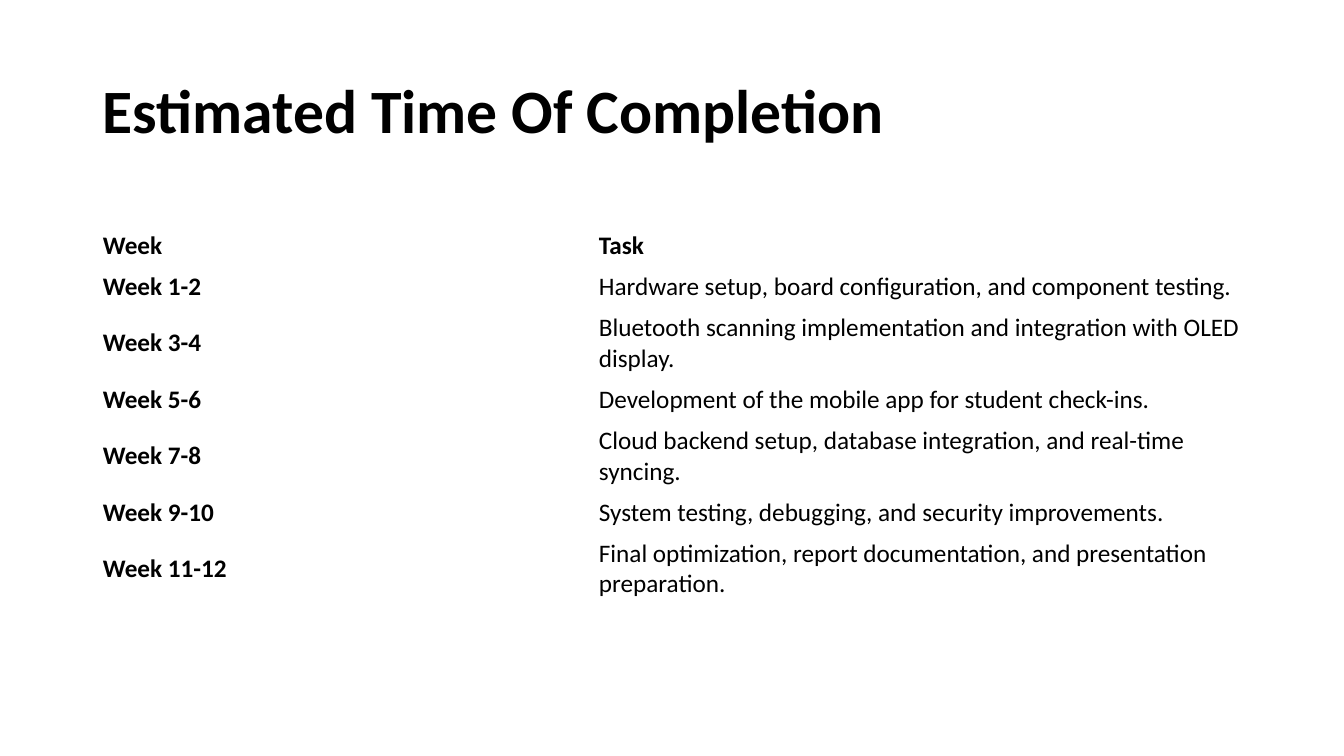
"""Build a slide with a project schedule by week."""
from pptx import Presentation
from pptx import util as u
from pptx.dml.color import RGBColor
from pptx.enum import text

COLORS = {"ink": "000000"}
FONT = "Calibri"
COLUMN_WIDTHS = (4.92, 6.58)
LINE_HEIGHT, CELL_PADDING = 0.3, 0.11
SCHEDULE = [
    ("Week", "Task", 1),
    ("Week 1-2", "Hardware setup, board configuration, and component testing.", 1),
    ("Week 3-4", "Bluetooth scanning implementation and integration with OLED display.", 2),
    ("Week 5-6", "Development of the mobile app for student check-ins.", 1),
    ("Week 7-8", "Cloud backend setup, database integration, and real-time syncing.", 2),
    ("Week 9-10", "System testing, debugging, and security improvements.", 1),
    ("Week 11-12", "Final optimization, report documentation, and presentation preparation.", 2),
]


def add_run(paragraph, wording, size, bold):
    run = paragraph.add_run()
    run.text = wording
    run.font.name = FONT
    run.font.size = u.Pt(size)
    run.font.bold = bold
    run.font.color.rgb = RGBColor.from_string(COLORS["ink"])


prs = Presentation()
prs.slide_width, prs.slide_height = u.Inches(13.33), u.Inches(7.5)
slide = prs.slides.add_slide(prs.slide_layouts[6])

title = slide.shapes.add_textbox(
    u.Inches(0.92), u.Inches(0.4), u.Inches(11.5), u.Inches(1.45)
).text_frame
title.word_wrap = True
title.vertical_anchor = text.MSO_ANCHOR.MIDDLE
title.paragraphs[0].line_spacing = 0.9
add_run(title.paragraphs[0], "Estimated Time Of Completion", 44, True)

schedule = slide.shapes.add_table(
    len(SCHEDULE), len(COLUMN_WIDTHS),
    u.Inches(0.92), u.Inches(2.23), u.Inches(11.5), u.Inches(3.7),
).table
schedule.first_row = False
schedule.horz_banding = False
for column, width in zip(schedule.columns, COLUMN_WIDTHS):
    column.width = u.Inches(width)

for row_index, (week, task, line_count) in enumerate(SCHEDULE):
    schedule.rows[row_index].height = u.Inches(line_count * LINE_HEIGHT + CELL_PADDING)
    for column_index, wording in enumerate((week, task)):
        cell = schedule.cell(row_index, column_index)
        cell.fill.background()
        cell.vertical_anchor = text.MSO_ANCHOR.MIDDLE
        is_heading = row_index == 0 or column_index == 0
        add_run(cell.text_frame.paragraphs[0], wording, 18, is_heading)

prs.save("out.pptx")
